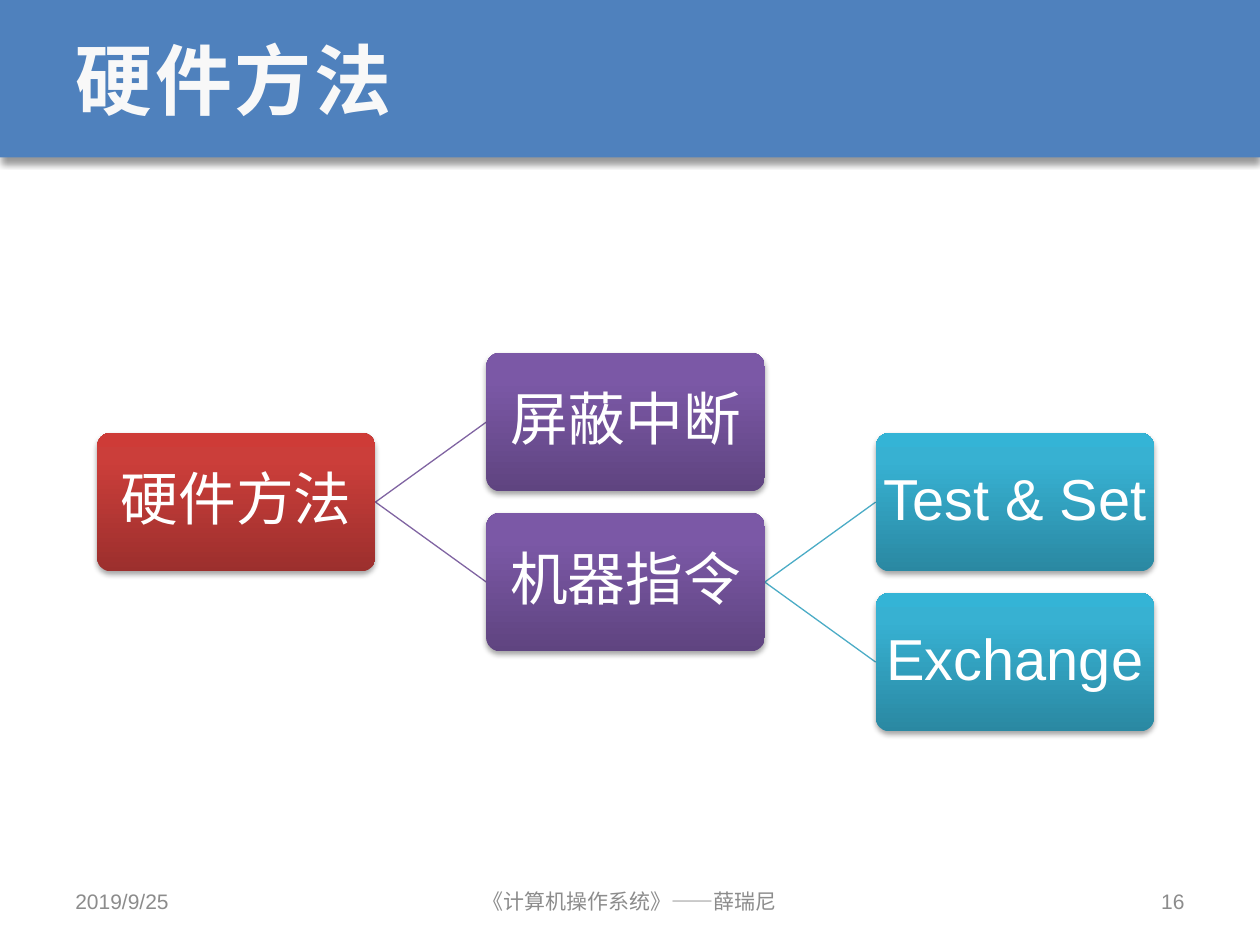
from dataclasses import dataclass

from pptx import Presentation
from pptx.dml.color import RGBColor
from pptx.enum.shapes import MSO_CONNECTOR as Link, MSO_SHAPE as Form
from pptx.enum.text import MSO_ANCHOR as Anchor, PP_ALIGN as Align
from pptx.oxml import parse_xml
from pptx.util import Inches, Pt

NS = 'xmlns:a="http://schemas.openxmlformats.org/drawingml/2006/main"'


@dataclass(frozen=True)
class Theme:
    """Colours, fonts and type sizes of the slide."""
    band: str = "4F81BD"
    title: str = "F8F8F8"
    node: str = "FFFFFF"
    foot: str = "8C8C8C"
    red: tuple = ("9C2F2D", "CB3E3A", "CE3B37")
    plum: tuple = ("5F4480", "7B58A6", "7C57A8")
    teal: tuple = ("2A88A2", "37B1D2", "34B4D6")
    plum_line: str = "8064A2"
    teal_line: str = "4BACC6"
    sans: str = "Arial"
    mono: str = "DejaVu Sans Mono"
    big: int = 44
    mid: int = 33
    small: int = 12


@dataclass(frozen=True)
class Grid:
    """Columns and half-box rows of the tree, in inches."""
    left: float = 0.77
    top: float = 2.8
    wide: float = 2.21
    high: float = 1.1
    col: float = 3.09
    row: float = 0.635

    def spot(self, col, row):
        """Return the left top corner of a cell."""
        return self.left + col * self.col, self.top + row * self.row


T = Theme()
G = Grid()


def rgb(code):
    """Turn a hex code into a colour."""
    return RGBColor.from_string(code)


def write(frame, text, size, face, color, align=Align.LEFT, bold=False):
    """Put one styled line of text in a frame."""
    frame.word_wrap = True
    frame.vertical_anchor = Anchor.MIDDLE
    para = frame.paragraphs[0]
    para.text = text
    para.alignment = align
    font = para.font
    font.size, font.name, font.bold = Pt(size), face, bold
    font.color.rgb = rgb(color)
    return para


def shade(shape, alpha, blur, dist):
    """Drop a soft black shadow below a shape."""
    shape.shadow.inherit = False
    props = shape._element.spPr
    props.remove(props[-1])
    props.append(parse_xml(
        f'<a:effectLst {NS}><a:outerShdw blurRad="{Pt(blur)}" dist="{Pt(dist)}" '
        f'dir="5400000" rotWithShape="0"><a:srgbClr val="000000">'
        f'<a:alpha val="{alpha * 1000}"/></a:srgbClr></a:outerShdw></a:effectLst>'))


def blend(shape, tones):
    """Fill a shape with three tones from bottom to top."""
    stops = "".join(f'<a:gs pos="{pos * 1000}"><a:srgbClr val="{tone}"/></a:gs>'
                    for pos, tone in zip((0, 80, 100), tones))
    shape._element.spPr.insert(2, parse_xml(
        f'<a:gradFill {NS} rotWithShape="1"><a:gsLst>{stops}</a:gsLst>'
        f'<a:lin ang="16200000" scaled="0"/></a:gradFill>'))


def head(slide, text, wide, high):
    """Draw the title on its band."""
    band = slide.shapes.add_shape(Form.RECTANGLE, 0, 0, wide, high)
    band.fill.solid()
    band.fill.fore_color.rgb = rgb(T.band)
    band.line.fill.background()
    shade(band, 40, 4, 3)
    slide.shapes._spTree.insert(2, band._element)
    title = slide.shapes.title
    title.left, title.top = int(wide * 0.05), 0
    title.width, title.height = int(wide * 0.9), high
    para = write(title.text_frame, text, T.big, T.mono, T.title, bold=True)
    para.runs[0]._r.get_or_add_rPr().set("spc", "150")


def node(slide, text, col, row, tones):
    """Draw one box of the tree."""
    left, top = G.spot(col, row)
    box = slide.shapes.add_shape(Form.ROUNDED_RECTANGLE, Inches(left), Inches(top),
                                 Inches(G.wide), Inches(G.high))
    box.adjustments[0] = 0.1
    blend(box, tones)
    box.line.fill.background()
    shade(box, 35, 3.1, 1.8)
    frame = box.text_frame
    frame.margin_left = frame.margin_right = Inches(0.02)
    frame.margin_top = frame.margin_bottom = Inches(0.02)
    write(frame, text, T.mid, T.sans, T.node, Align.CENTER).line_spacing = 0.9


def branch(slide, col, start, end, color):
    """Join a box to a child in the next column."""
    x, y = G.spot(col, start)
    to_x, to_y = G.spot(col + 1, end)
    half = G.high / 2
    line = slide.shapes.add_connector(Link.STRAIGHT, Inches(x + G.wide), Inches(y + half),
                                      Inches(to_x), Inches(to_y + half))
    line.line.color.rgb = rgb(color)
    line.line.width = Pt(0.75)
    line._element.spPr.append(parse_xml(f"<a:effectLst {NS}/>"))


def foot(slide, text, left, wide, face, align):
    """Write one part of the footer."""
    box = slide.shapes.add_textbox(Inches(left), Inches(6.95), Inches(wide), Inches(0.4))
    write(box.text_frame, text, T.small, face, T.foot, align)


def main():
    """Build the slide and save it."""
    deck = Presentation()
    deck.slide_width, deck.slide_height = Inches(10), Inches(7.5)
    slide = deck.slides.add_slide(deck.slide_layouts[5])
    head(slide, "硬件方法", deck.slide_width, deck.slide_height // 6)
    for link in ((0, 1, 0, T.plum_line), (0, 1, 2, T.plum_line),
                 (1, 2, 1, T.teal_line), (1, 2, 3, T.teal_line)):
        branch(slide, *link)
    for item in (("硬件方法", 0, 1, T.red), ("屏蔽中断", 1, 0, T.plum),
                 ("机器指令", 1, 2, T.plum), ("Test & Set", 2, 1, T.teal),
                 ("Exchange", 2, 3, T.teal)):
        node(slide, *item)
    for part in (("2019/9/25", 0.5, 2.33, T.sans, Align.LEFT),
                 ("《计算机操作系统》——薛瑞尼", 2.83, 4.33, T.mono, Align.CENTER),
                 ("16", 7.17, 2.33, T.sans, Align.RIGHT)):
        foot(slide, *part)
    deck.save("out.pptx")


if __name__ == "__main__":
    main()
